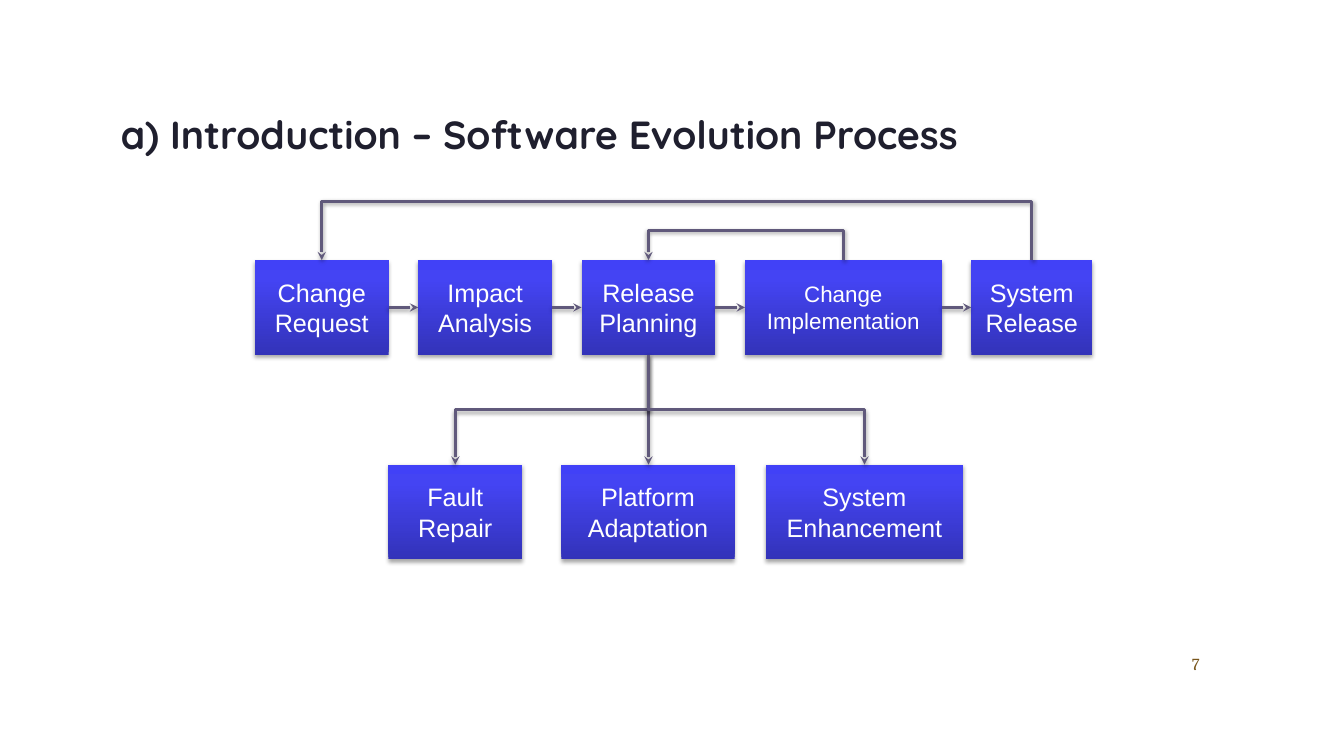
from lxml import etree
from pptx import Presentation
from pptx import util as u
from pptx.dml import color
from pptx.enum import shapes, text
from pptx.oxml import ns, parse_xml

COLORS = {
    "title": "1F1F2E", "label": "FFFFFF", "line": "60597B", "number": "79551B",
    "shadow": "000000", "bottom": "3333B9", "middle": "4444F3", "top": "4141F7",
}
GRADIENT = [(0, "bottom"), (80, "middle"), (100, "top")]
BOX_HEIGHT = 67.6
BOX_WIDTH = 95.6
WIDE_WIDTH = 140.6
STEP_TOP, STEP_LEFT, STEP_GAP = 185.8, 182, 21.1
RELEASE_TOP = 331.9
STEPS = [
    ("Change Request", BOX_WIDTH, 18),
    ("Impact Analysis", BOX_WIDTH, 18),
    ("Release Planning", BOX_WIDTH, 18),
    ("Change Implementation", WIDE_WIDTH, 16),
    ("System Release", 86.4, 18),
]
RELEASE_TYPES = [
    ("Fault Repair", 277.4, BOX_WIDTH),
    ("Platform Adaptation", 401, 123.8),
    ("System Enhancement", 547.2, WIDE_WIDTH),
]


class ProcessSlide:
    """Draws styled boxes, arrows and text on one slide."""

    def __init__(self, presentation):
        self.slide = presentation.slides.add_slide(presentation.slide_layouts[6])

    def add_words(self, shape, words, size, font, shade, align, anchor, bold=False):
        frame = shape.text_frame
        frame.word_wrap = True
        frame.vertical_anchor = anchor
        paragraph = frame.paragraphs[0]
        paragraph.alignment = align
        run = paragraph.add_run()
        run.text = words
        run.font.name = font
        run.font.size = u.Pt(size)
        run.font.bold = bold
        run.font.color.rgb = color.RGBColor.from_string(COLORS[shade])

    def label(self, words, left, top, width, height, **style):
        shape = self.slide.shapes.add_textbox(*map(u.Pt, (left, top, width, height)))
        self.add_words(shape, words, **style)

    def add_shadow(self, properties, alpha, distance):
        effects = properties.find(ns.qn("a:effectLst"))
        if effects is None:
            effects = etree.SubElement(properties, ns.qn("a:effectLst"))
        effects.append(parse_xml(
            f'<a:outerShdw {ns.nsdecls("a")} blurRad="{u.Pt(3.1)}" '
            f'dist="{u.Pt(distance)}" dir="5400000" rotWithShape="0">'
            f'<a:srgbClr val="{COLORS["shadow"]}"><a:alpha val="{alpha * 1000}"/>'
            '</a:srgbClr></a:outerShdw>'))

    def box(self, words, left, top, width, size=18):
        shape = self.slide.shapes.add_shape(
            shapes.MSO_SHAPE.RECTANGLE, *map(u.Pt, (left, top, width, BOX_HEIGHT)))
        stops = "".join(
            f'<a:gs pos="{place * 1000}"><a:srgbClr val="{COLORS[name]}"/></a:gs>'
            for place, name in GRADIENT)
        properties = shape.element.spPr
        properties.append(parse_xml(
            f'<a:gradFill {ns.nsdecls("a")} rotWithShape="1"><a:gsLst>{stops}</a:gsLst>'
            '<a:lin ang="16200000" scaled="0"/></a:gradFill>'))
        shape.line.fill.background()
        shape.shadow.inherit = False
        self.add_shadow(properties, 35, 1.8)
        self.add_words(shape, words, size, "Arial", "label",
                       text.PP_ALIGN.CENTER, text.MSO_ANCHOR.MIDDLE)

    def arrow(self, start, end, kind=shapes.MSO_CONNECTOR.STRAIGHT):
        connector = self.slide.shapes.add_connector(kind, *map(u.Pt, (*start, *end)))
        connector.line.width = u.Pt(2)
        connector.line.color.rgb = color.RGBColor.from_string(COLORS["line"])
        properties = connector.element.spPr
        etree.SubElement(properties.find(ns.qn("a:ln")), ns.qn("a:tailEnd"), type="stealth")
        self.add_shadow(properties, 38, 1.6)
        return properties

    def bent_arrow(self, start, end, drop):
        (x1, y1), (x2, y2) = start, end
        center_x, center_y = (x1 + x2) / 2, (y1 + y2) / 2
        depth = max(y2 - y1, 0.05)
        half_span = abs(x2 - x1) / 2
        half_depth = depth / 2 if x2 < x1 else -depth / 2
        properties = self.arrow(
            (center_x - half_depth, center_y - half_span),
            (center_x + half_depth, center_y + half_span),
            shapes.MSO_CONNECTOR.ELBOW)
        turn = 90 if x2 < x1 else 270
        properties.find(ns.qn("a:xfrm")).set("rot", str(turn * 60000))
        guides = properties.find(ns.qn("a:prstGeom")).find(ns.qn("a:avLst"))
        etree.SubElement(guides, ns.qn("a:gd"), name="adj1",
                         fmla=f"val {round(drop / depth * 100000)}")


def main():
    presentation = Presentation()
    presentation.slide_width, presentation.slide_height = u.Pt(960), u.Pt(540)
    process = ProcessSlide(presentation)
    process.label("a) Introduction – Software Evolution Process", 79.2, 59.8, 805.7, 72,
                  size=28, font="Quicksand", shade="title", bold=True,
                  align=text.PP_ALIGN.LEFT, anchor=text.MSO_ANCHOR.MIDDLE)

    left = STEP_LEFT
    centers, edges = [], []
    for words, width, size in STEPS:
        process.box(words, left, STEP_TOP, width, size)
        centers.append(left + width / 2)
        edges.append(left + width)
        left += width + STEP_GAP
    for words, left, width in RELEASE_TYPES:
        process.box(words, left, RELEASE_TOP, width)

    request, _, planning, implementation, release = centers
    fault, _, enhancement = [left + width / 2 for _, left, width in RELEASE_TYPES]
    step_bottom = STEP_TOP + BOX_HEIGHT
    process.arrow((planning, step_bottom), (planning, RELEASE_TOP))
    for target in (fault, enhancement):
        process.bent_arrow((planning, step_bottom), (target, RELEASE_TOP),
                           (RELEASE_TOP - step_bottom) / 2)
    for source, target, rise in ((implementation, planning, 18.6), (release, request, 37)):
        process.bent_arrow((source, STEP_TOP), (target, STEP_TOP), -rise)
    middle = STEP_TOP + BOX_HEIGHT / 2
    for edge in edges[:-1]:
        process.arrow((edge, middle), (edge + STEP_GAP, middle))

    process.label("7", 679.7, 463.7, 184.3, 30.2, size=12, font="Cambria", shade="number",
                  align=text.PP_ALIGN.RIGHT, anchor=text.MSO_ANCHOR.TOP)
    presentation.save("out.pptx")


if __name__ == "__main__":
    main()
